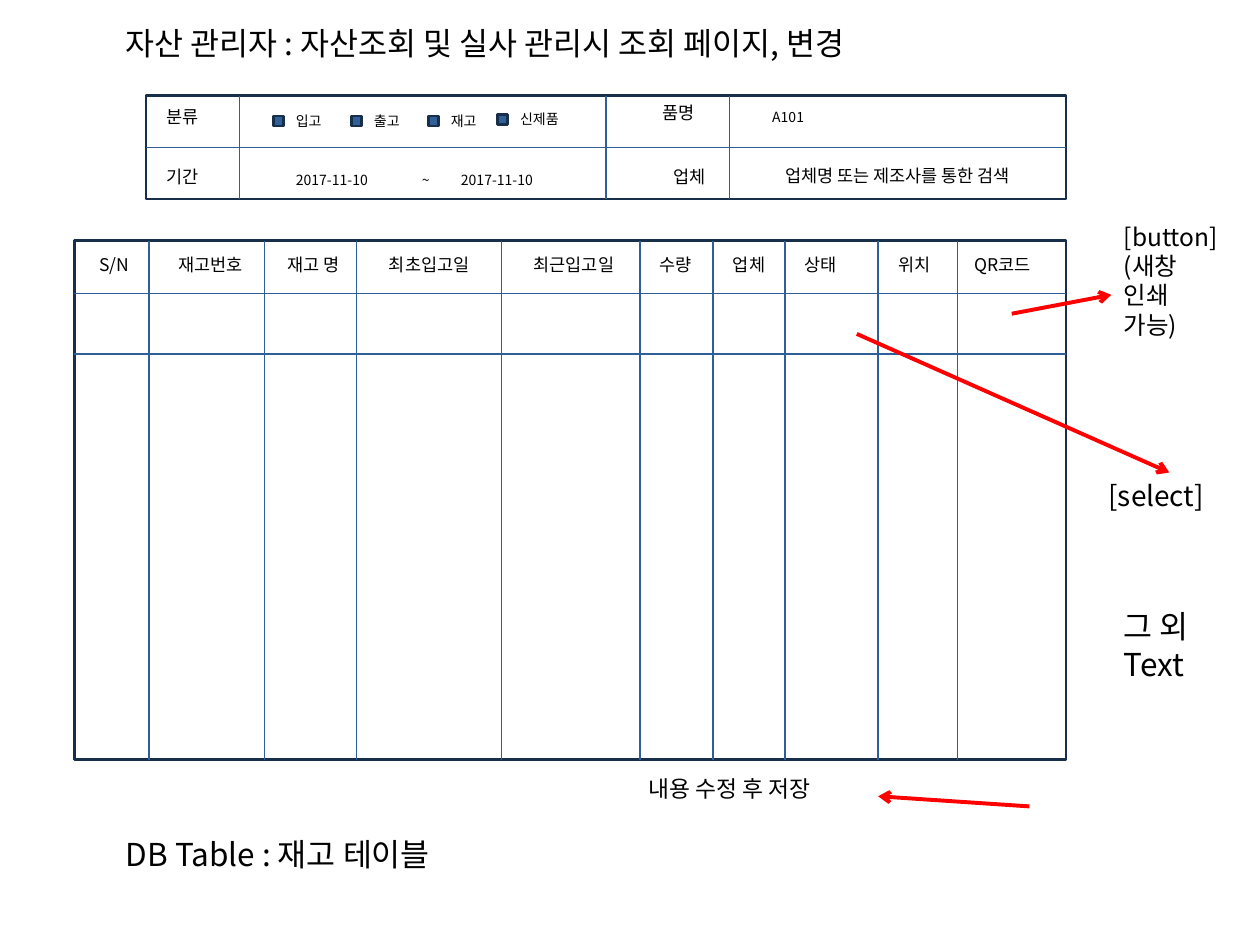
from dataclasses import dataclass

import pptx
import pptx.dml.color
import pptx.enum.shapes
import pptx.enum.text
import pptx.oxml
import pptx.oxml.ns
import pptx.util
from pptx.util import Inches

RGB = pptx.dml.color.RGBColor.from_string
RECTANGLE = pptx.enum.shapes.MSO_SHAPE.RECTANGLE
LEFT = pptx.enum.text.PP_ALIGN.LEFT
CENTER = pptx.enum.text.PP_ALIGN.CENTER
DRAWING = pptx.oxml.ns.nsdecls("a")


@dataclass(frozen=True)
class Theme:
    font: str = "Noto Sans CJK KR"
    ink: str = "000000"
    frame: str = "182F4B"
    grid: str = "2E5F9A"
    check: str = "315F97"
    arrow: str = "FF0000"
    small: int = 8
    label: int = 10
    caption: int = 13
    button: int = 14
    select: int = 16
    title: int = 18


theme = Theme()
deck = pptx.Presentation()
deck.slide_width, deck.slide_height = Inches(10), Inches(7.5)
page = deck.slides.add_slide(deck.slide_layouts[6])


def add_text(left, top, width, height, text, size, align=LEFT):
    """Add a text box with one paragraph per line of text."""
    box = page.shapes.add_textbox(Inches(left), Inches(top), Inches(width), Inches(height))
    frame = box.text_frame
    frame.word_wrap = True
    frame.auto_size = pptx.enum.text.MSO_AUTO_SIZE.SHAPE_TO_FIT_TEXT
    frame.text = text
    for para in frame.paragraphs:
        para.alignment = align
        para.font.size = pptx.util.Pt(size)
        para.font.color.rgb = RGB(theme.ink)
        para.font.name = theme.font
        east_asian = pptx.oxml.parse_xml(f'<a:ea {DRAWING} typeface="{theme.font}"/>')
        para._p.pPr.find(pptx.oxml.ns.qn("a:defRPr")).append(east_asian)


def add_line(x1, y1, x2, y2, color=theme.grid, weight=1, arrow=False):
    line = page.shapes.add_connector(
        pptx.enum.shapes.MSO_CONNECTOR.STRAIGHT,
        Inches(x1), Inches(y1), Inches(x2), Inches(y2))
    line.line.color.rgb = RGB(color)
    line.line.width = pptx.util.Pt(weight)
    if arrow:
        line.line._get_or_add_ln().append(
            pptx.oxml.parse_xml(f'<a:tailEnd {DRAWING} type="arrow"/>'))
    line._element.spPr.append(pptx.oxml.parse_xml(f"<a:effectLst {DRAWING}/>"))


# Frames of the search form and the stock list, and the filter check boxes
form_left, form_top, form_bottom = 1.16, 0.76, 1.58
list_left, list_top, list_bottom = 0.59, 1.91, 6.03
right = 8.46
check_size = 0.08
filters = [
    (2.17, 0.92, 0.5, "입고"),
    (2.79, 0.92, 0.5, "출고"),
    (3.4, 0.92, 0.5, "재고"),
    (3.95, 0.91, 0.7, "신제품"),
]
rectangles = [(left, top, check_size, check_size, theme.check) for left, top, _, _ in filters]
rectangles += [
    (form_left, form_top, right - form_left, form_bottom - form_top, None),
    (list_left, list_top, right - list_left, list_bottom - list_top, None),
]
for left, top, width, height, fill in rectangles:
    rectangle = page.shapes.add_shape(
        RECTANGLE, Inches(left), Inches(top), Inches(width), Inches(height))
    rectangle.shadow.inherit = False
    rectangle.line.color.rgb = RGB(theme.frame)
    rectangle.line.width = pptx.util.Pt(1.5)
    if fill:
        rectangle.fill.solid()
        rectangle.fill.fore_color.rgb = RGB(fill)
    else:
        rectangle.fill.background()

# Search form
add_line(form_left, 1.17, right, 1.17)
for x in (1.9, 4.81, 5.79):
    add_line(x, form_top, x, form_bottom)
for left, top, width, text in filters:
    add_text(left + check_size, top - check_size, width, 0.27, text, theme.small)
for left, top, width, text in [
    (2.25, 1.31, 0.96, "2017-11-10"),
    (3.25, 1.31, 0.25, "~"),
    (3.56, 1.31, 1.01, "2017-11-10"),
    (6.03, 0.81, 0.75, "A101"),
]:
    add_text(left, top, width, 0.26, text, theme.small)
for left, top, width, text, align in [
    (1.22, 0.79, 0.68, "분류", LEFT),
    (1.22, 1.27, 0.68, "기간", LEFT),
    (5.16, 0.76, 0.57, "품명", LEFT),
    (5, 1.27, 0.94, "업체", CENTER),
    (5.75, 1.26, 2.74, "업체명 또는 제조사를 통한 검색", CENTER),
]:
    add_text(left, top, width, 0.3, text, theme.label, align)

# Stock list
for y in (2.33, 2.81):
    add_line(list_left, y, right, y)
for x in (1.18, 2.1, 2.83, 3.98, 5.08, 5.66, 6.23, 6.97, 7.6):
    add_line(x, list_top, x, list_bottom)
for left, width, text in [
    (0.62, 0.57, "S/N"),
    (1.21, 0.92, "재고번호"),
    (2.1, 0.77, "재고 명"),
    (2.83, 1.15, "최초입고일"),
    (3.98, 1.15, "최근입고일"),
    (5.08, 0.57, "수량"),
    (5.66, 0.57, "업체"),
    (6.23, 0.57, "상태"),
    (6.97, 0.57, "위치"),
    (7.46, 1, "QR코드"),
]:
    add_text(left, 1.97, width, 0.3, text, theme.label, CENTER)

# Titles and annotations
for left, top, width, height, text, size in [
    (0.9, 0.14, 9.1, 0.47, "자산 관리자 : 자산조회 및 실사 관리시 조회 페이지, 변경", theme.title),
    (0.9, 6.58, 7.52, 0.47, "DB Table : 재고 테이블", theme.title),
    (8.82, 1.71, 1.18, 1.26, "[button]\n(새창\n인쇄\n가능)", theme.button),
    (8.7, 3.75, 1.16, 0.42, "[select]", theme.select),
    (8.82, 4.77, 1, 0.85, "그 외\nText", theme.title),
    (5.05, 6.1, 2.27, 0.37, "내용 수정 후 저장", theme.caption),
]:
    add_text(left, top, width, height, text, size)
for ends in [
    (8.03, 2.49, 8.82, 2.34),
    (6.8, 2.65, 9.28, 3.75),
    (8.17, 6.4, 6.97, 6.32),
]:
    add_line(*ends, color=theme.arrow, weight=2.25, arrow=True)

deck.save("out.pptx")
